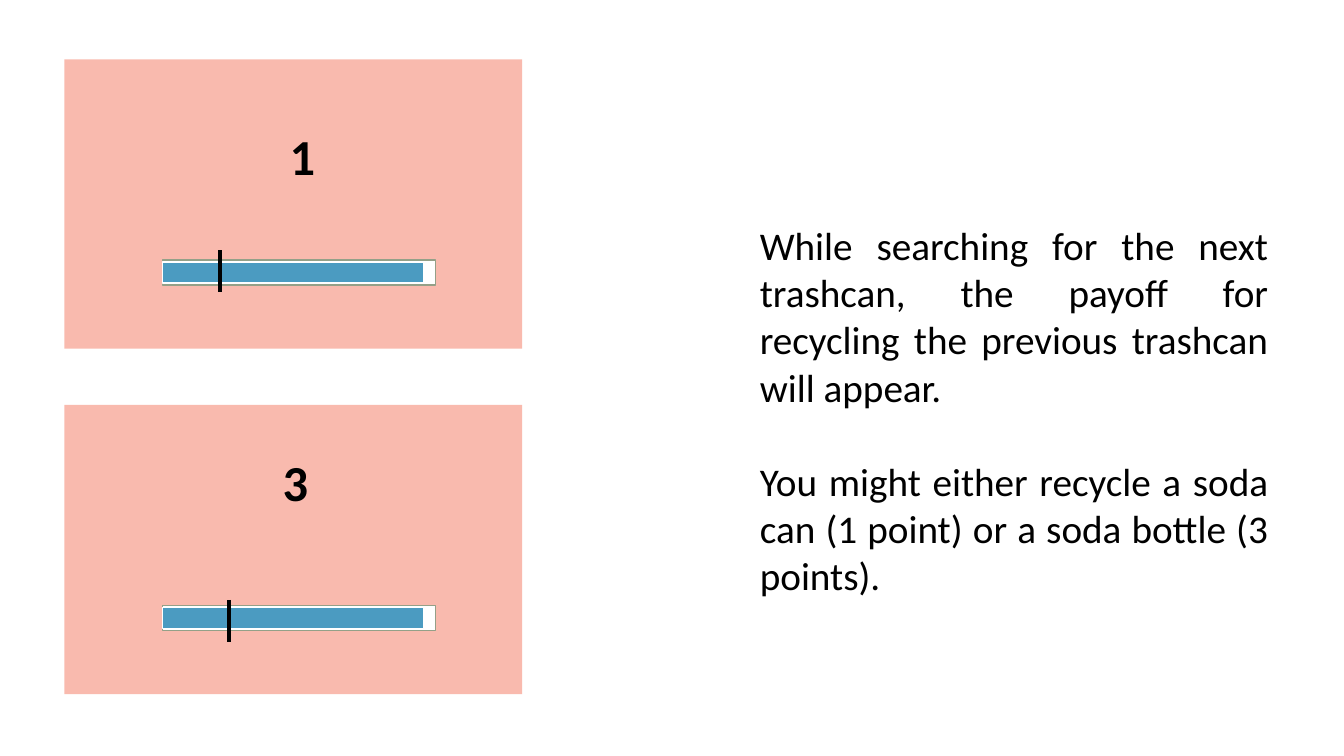
from dataclasses import dataclass

import pptx
import pptx.dml.color
import pptx.enum.shapes
import pptx.enum.text
import pptx.util
from lxml import etree

Pt = pptx.util.Pt
ALIGN = pptx.enum.text.PP_ALIGN


@dataclass(frozen=True)
class Theme:
    font: str = "Calibri"
    ink: str = "000000"
    panel: str = "F9BAAE"
    track: str = "FFFFFF"
    track_edge: str = "94A088"
    progress: str = "4B9BC1"
    body_size: int = 28
    score_size: int = 36


THEME = Theme()
EXPLANATION = [
    "While searching for the next trashcan, the payoff for recycling "
    "the previous trashcan will appear.",
    "You might either recycle a soda can (1 point) or a soda bottle (3 points).",
]


def rgb(code):
    return pptx.dml.color.RGBColor.from_string(code)


def add_box(shapes, left, top, width, height, fill, edge=None):
    box = shapes.add_shape(pptx.enum.shapes.MSO_SHAPE.RECTANGLE,
                           Pt(left), Pt(top), Pt(width), Pt(height))
    box.shadow.inherit = False
    box.fill.solid()
    box.fill.fore_color.rgb = rgb(fill)
    if edge:
        box.line.color.rgb = rgb(edge)
        box.line.width = Pt(1)
    else:
        box.line.fill.background()


def add_text(shapes, left, top, width, height, paragraphs, size, align,
             bold=False, gap=0):
    """Add a wrapped text box, with gap points between its paragraphs."""
    frame = shapes.add_textbox(Pt(left), Pt(top), Pt(width), Pt(height)).text_frame
    frame.word_wrap = True
    for index, wording in enumerate(paragraphs):
        paragraph = frame.add_paragraph() if index else frame.paragraphs[0]
        paragraph.alignment = align
        if index:
            paragraph.space_before = Pt(gap)
        run = paragraph.add_run()
        run.text = wording
        run.font.name = THEME.font
        run.font.size = Pt(size)
        run.font.bold = bold
        run.font.color.rgb = rgb(THEME.ink)


def add_marker(shapes, x, top, height=30.2):
    marker = shapes.add_connector(pptx.enum.shapes.MSO_CONNECTOR.STRAIGHT,
                                  Pt(x), Pt(top), Pt(x), Pt(top + height))
    marker.line.color.rgb = rgb(THEME.ink)
    marker.line.width = Pt(3)
    properties = marker.line._get_or_add_ln().getparent()
    etree.SubElement(properties, pptx.oxml.ns.qn("a:effectLst"))


def add_payoff_screen(shapes, top, score, score_left, score_top, marker_x, marker_top):
    """Add one game screen: panel, progress bar, score and bar marker."""
    left, bar_left = 46, 116
    add_box(shapes, left, top, 327, 206.6, THEME.panel)
    add_box(shapes, bar_left, top + 143.2, 195, 18, THEME.track, THEME.track_edge)
    add_box(shapes, bar_left, top + 144.7, 186.5, 15, THEME.progress, THEME.track)
    add_text(shapes, score_left, score_top, 98, 51, [score],
             THEME.score_size, ALIGN.CENTER, bold=True)
    add_marker(shapes, marker_x, marker_top)


def main():
    deck = pptx.Presentation()
    deck.slide_width, deck.slide_height = Pt(960), Pt(540)
    shapes = deck.slides.add_slide(deck.slide_layouts[6]).shapes

    add_text(shapes, 535.7, 154.8, 377.3, 278.6, EXPLANATION,
             THEME.body_size, ALIGN.JUSTIFY, gap=34)
    add_payoff_screen(shapes, top=42.5, score="1", score_left=167, score_top=85.7,
                      marker_x=157, marker_top=178.6)
    add_payoff_screen(shapes, top=289.3, score="3", score_left=162, score_top=319,
                      marker_x=163.5, marker_top=428.4)
    deck.save("out.pptx")


if __name__ == "__main__":
    main()
